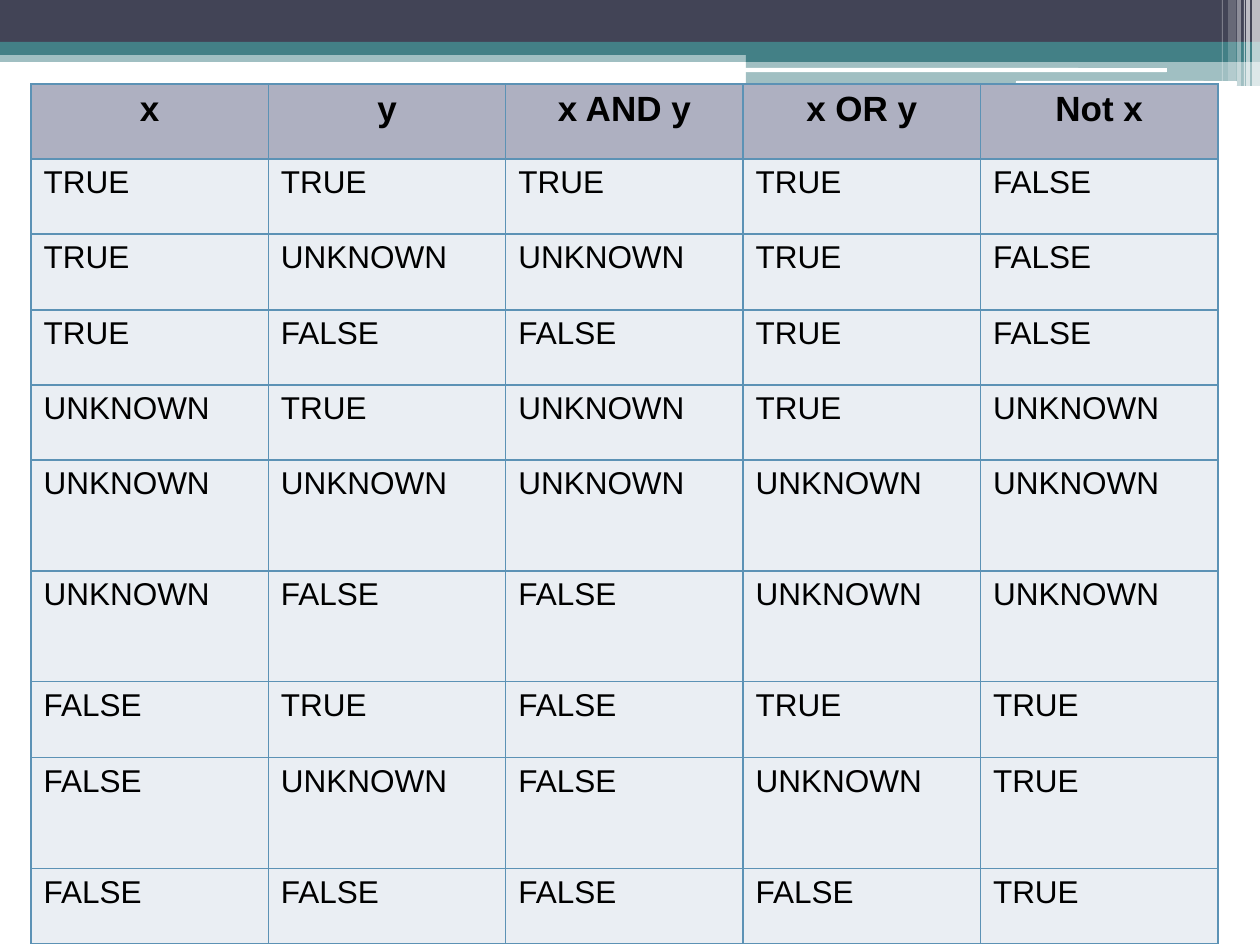
from itertools import product
from typing import NamedTuple

from lxml import etree
from pptx import Presentation
from pptx import util as u
from pptx.dml.color import RGBColor
from pptx.enum import shapes, text
from pptx.oxml.ns import qn

EMU_PER_PX = 914400 / 126
NAVY, TEAL, WHITE, BLACK = "424456", "438086", "FFFFFF", "000000"
HEADER_FILL, BODY_FILL, BORDER = "AEB0C1", "EAEEF3", "5C92B5"
RECTANGLE = shapes.MSO_SHAPE.RECTANGLE
ROUNDED = shapes.MSO_SHAPE.ROUNDED_RECTANGLE


class Band(NamedTuple):
    left: int
    top: int
    width: int
    height: int
    color: str
    opacity: int = 100
    preset: shapes.MSO_SHAPE = RECTANGLE


BANDS = [
    Band(0, 50, 1260, 12, TEAL, 50),
    Band(0, 0, 1260, 43, NAVY),
    Band(0, 42, 1260, 13, TEAL),
    Band(746, 49, 514, 13, TEAL),
    Band(746, 61, 514, 25, TEAL, 50),
    Band(745, 68, 422, 4, WHITE, preset=ROUNDED),
    Band(1016, 81, 221, 5, WHITE, preset=ROUNDED),
    Band(1252, 0, 8, 86, WHITE, 65),
    Band(1246, 0, 4, 86, WHITE, 65),
    Band(1244, 0, 1, 86, WHITE, 60),
    Band(1237, 0, 4, 86, WHITE, 40),
    Band(1228, 0, 8, 81, WHITE, 20),
    Band(1222, 0, 1, 81, WHITE, 30),
]

# Truth values in rising order: AND is the minimum, OR the maximum.
NAMES = ["FALSE", "UNKNOWN", "TRUE"]
HEADERS = ["x", "y", "x AND y", "x OR y", "Not x"]
ROW_HEIGHTS = [75, 75, 76, 75, 75, 111, 111, 76, 111, 75]
TABLE_LEFT, TABLE_TOP, TABLE_WIDTH = 31, 84, 1187


def px(length: float) -> int:
    return round(length * EMU_PER_PX)


def rgb(color: str) -> RGBColor:
    return RGBColor.from_string(color)


def draw_band(slide, band: Band) -> None:
    shape = slide.shapes.add_shape(
        band.preset, px(band.left), px(band.top), px(band.width), px(band.height))
    shape.shadow.inherit = False
    shape.line.fill.background()
    shape.fill.solid()
    shape.fill.fore_color.rgb = rgb(band.color)
    if band.opacity < 100:
        color = shape.fill._xPr.find(f".//{qn('a:srgbClr')}")
        etree.SubElement(color, qn("a:alpha"), val=str(band.opacity * 1000))


def set_borders(cell) -> None:
    properties = cell._tc.get_or_add_tcPr()
    for index, side in enumerate(["a:lnL", "a:lnR", "a:lnT", "a:lnB"]):
        line = etree.Element(qn(side), w=str(u.Pt(1)))
        fill = etree.SubElement(line, qn("a:solidFill"))
        etree.SubElement(fill, qn("a:srgbClr"), val=BORDER)
        properties.insert(index, line)


def fill_cell(cell, value: str, is_header: bool) -> None:
    cell.fill.solid()
    cell.fill.fore_color.rgb = rgb(HEADER_FILL if is_header else BODY_FILL)
    set_borders(cell)
    cell.text_frame.text = value
    paragraph = cell.text_frame.paragraphs[0]
    if is_header:
        paragraph.alignment = text.PP_ALIGN.CENTER
    spacing = etree.SubElement(paragraph._p.get_or_add_pPr(), qn("a:spcBef"))
    etree.SubElement(spacing, qn("a:spcPct"), val="20000")
    font = paragraph.runs[0].font
    font.name = "Arial"
    font.size = u.Pt(20 if is_header else 18)
    font.bold = is_header
    font.color.rgb = rgb(BLACK)


def truth_rows() -> list[list[str]]:
    return [[NAMES[value] for value in (x, y, min(x, y), max(x, y), 2 - x)]
            for x, y in product([2, 1, 0], repeat=2)]


def draw_truth_table(slide) -> None:
    rows = [HEADERS] + truth_rows()
    table = slide.shapes.add_table(
        len(rows), len(HEADERS), px(TABLE_LEFT), px(TABLE_TOP),
        px(TABLE_WIDTH), px(sum(ROW_HEIGHTS))).table
    for column in table.columns:
        column.width = px(TABLE_WIDTH / len(HEADERS))
    for row_index, values in enumerate(rows):
        table.rows[row_index].height = px(ROW_HEIGHTS[row_index])
        for column_index, value in enumerate(values):
            fill_cell(table.cell(row_index, column_index), value, row_index == 0)


def main() -> None:
    presentation = Presentation()
    presentation.slide_width, presentation.slide_height = px(1260), px(945)
    slide = presentation.slides.add_slide(presentation.slide_layouts[6])
    for band in BANDS:
        draw_band(slide, band)
    draw_truth_table(slide)
    presentation.save("out.pptx")


if __name__ == "__main__":
    main()
